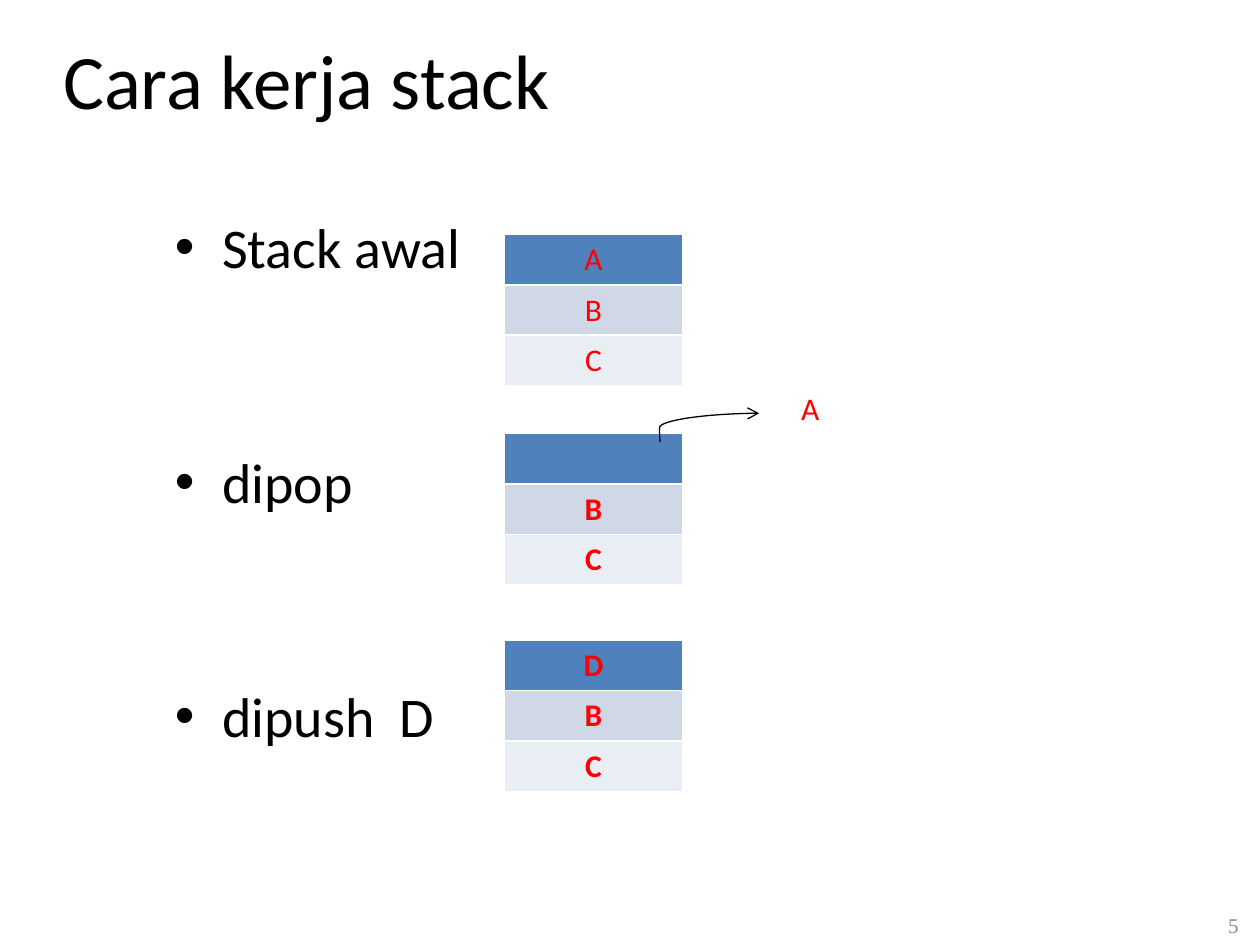
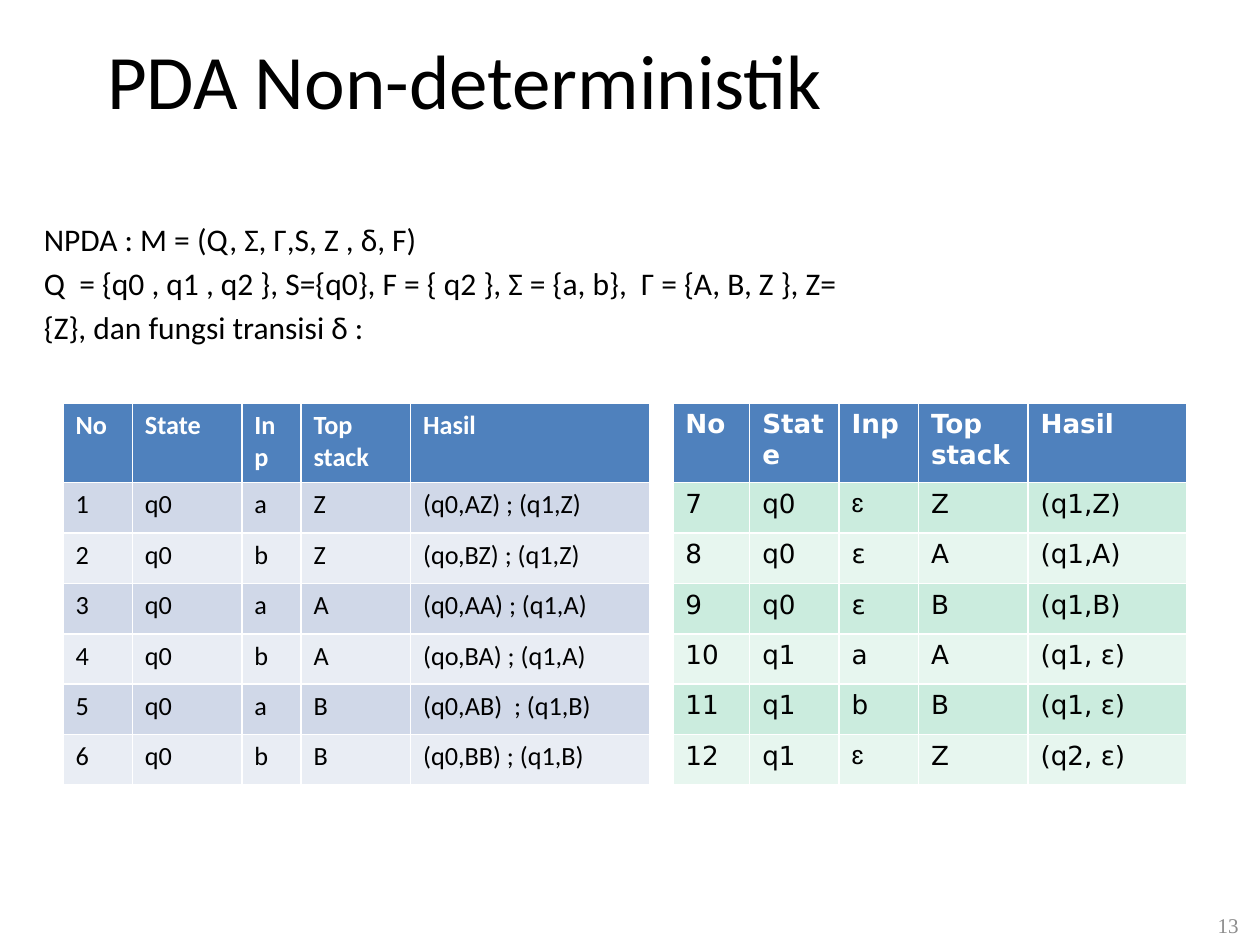
from lxml import etree
from pptx import Presentation
from pptx.dml.color import RGBColor
from pptx.enum.shapes import MSO_CONNECTOR
from pptx.enum.text import MSO_ANCHOR, MSO_AUTO_SIZE, PP_ALIGN
from pptx.oxml.ns import qn
from pptx.util import Pt

CURVE = MSO_CONNECTOR.CURVE
MIDDLE = MSO_ANCHOR.MIDDLE
NO_FIT = MSO_AUTO_SIZE.NONE
LEFT, CENTER, RIGHT = PP_ALIGN.LEFT, PP_ALIGN.CENTER, PP_ALIGN.RIGHT

COLORS = {
    "text": "000000", "white": "FFFFFF", "red": "FF0000", "number": "8C8C8C",
    "header": "4F81BD", "blue_dark": "D0D8E8", "blue_light": "E9EDF4",
    "green_dark": "CBECDE", "green_light": "E7F6EF",
}
BLUE_BANDS = ("blue_dark", "blue_light")
GREEN_BANDS = ("green_dark", "green_light")
MAIN_FONT, WIDE_FONT, SYMBOL_FONT = "Calibri", "DejaVu Sans", "Arial"
ROW_HEIGHT = 28.8
HEADER_HEIGHT = 45.4

STEPS = ["Stack awal", "dipop", "dipush  D"]
STACKS = [
    (133.9, ["A", "B", "C"], False),
    (247.7, ["", "B", "C"], True),
    (365.8, ["D", "B", "C"], True),
]

DEFINITION = [
    "NPDA : M = (Q, Σ, Γ,S, Z , δ, F)",
    "Q  = {q0 , q1 , q2 }, S={q0}, F = { q2 }, Σ = {a, b},  Γ = {A, B, Z }, Z=",
    "{Z}, dan fungsi transisi δ :",
]
HEADINGS = ("No", "State", "Inp", "Top stack", "Hasil")
READING_RULES = [
    HEADINGS,
    ("1", "q0", "a", "Z", "(q0,AZ) ; (q1,Z)"),
    ("2", "q0", "b", "Z", "(qo,BZ) ; (q1,Z)"),
    ("3", "q0", "a", "A", "(q0,AA) ; (q1,A)"),
    ("4", "q0", "b", "A", "(qo,BA) ; (q1,A)"),
    ("5", "q0", "a", "B", "(q0,AB)  ; (q1,B)"),
    ("6", "q0", "b", "B", "(q0,BB) ; (q1,B)"),
]
POPPING_RULES = [
    HEADINGS,
    ("7", "q0", "ɛ", "Z", "(q1,Z)"),
    ("8", "q0", "ɛ", "A", "(q1,A)"),
    ("9", "q0", "ɛ", "B", "(q1,B)"),
    ("10", "q1", "a", "A", "(q1, ɛ)"),
    ("11", "q1", "b", "B", "(q1, ɛ)"),
    ("12", "q1", "ɛ", "Z", "(q2, ɛ)"),
]
READING_WIDTHS = [39.6, 62.6, 33.8, 62.6, 136.8]
POPPING_WIDTHS = [43.9, 51.1, 45.4, 62.6, 90.7]


def color(name):
    return RGBColor.from_string(COLORS[name])


def style(para, size, color_name="text", font=MAIN_FONT, bold=False, align=LEFT):
    para.alignment = align
    para.font.size = Pt(size)
    para.font.name = font
    para.font.bold = bold
    para.font.color.rgb = color(color_name)


def add_text(page, area, lines, size, **look):
    box = page.shapes.add_textbox(*map(Pt, area))
    frame = box.text_frame
    frame.word_wrap = True
    frame.text = "\n".join(lines)
    for para in frame.paragraphs:
        style(para, size, **look)
    return frame


def add_page(deck, title, left, inset, number):
    page = deck.slides.add_slide(deck.slide_layouts[5])
    heading = page.shapes.title
    heading.left, heading.top, heading.width, heading.height = map(Pt, (left, 0, 612, 90))
    frame = heading.text_frame
    frame.text = title
    frame.auto_size = NO_FIT
    frame.vertical_anchor = MIDDLE
    frame.margin_left = Pt(inset)
    style(frame.paragraphs[0], 44)
    footer = add_text(page, (551.5, 517.7, 163.4, 22.3), [str(number)], 12,
                      color_name="number", font="Times New Roman", align=RIGHT)
    footer.vertical_anchor = MIDDLE
    return page


def hang(para, bullet=None):
    props = para._p.get_or_add_pPr()
    props.set("marL", str(Pt(27)))
    props.set("indent", str(-Pt(27)))
    if bullet:
        default = props.find(qn("a:defRPr"))
        for tag, key, value in (("a:buFont", "typeface", "Arial"), ("a:buChar", "char", bullet)):
            mark = etree.Element(qn(tag))
            mark.set(key, value)
            default.addprevious(mark)


def add_grid(page, left, top, widths, heights, rows, bands, look):
    frame = page.shapes.add_table(len(rows), len(widths), Pt(left), Pt(top),
                                  Pt(sum(widths)), Pt(sum(heights)))
    table = frame.table
    for column, width in zip(table.columns, widths):
        column.width = Pt(width)
    for index, (row, height, values) in enumerate(zip(table.rows, heights, rows)):
        row.height = Pt(height)
        fill = bands[(index - 1) % 2] if index else "header"
        for cell, value in zip(row.cells, values):
            cell.fill.solid()
            cell.fill.fore_color.rgb = color(fill)
            cell.text = value
            style(cell.text_frame.paragraphs[0], **look(index, values, value))


def add_pop_arrow(page):
    arrow = page.shapes.add_connector(CURVE, Pt(377.3), Pt(252.7), Pt(433.8), Pt(236.2))
    arrow.line.color.rgb = color("text")
    arrow.line.width = Pt(0.75)
    props = arrow._element.spPr
    guides = props.find(qn("a:prstGeom")).get_or_add_avLst()
    etree.SubElement(guides, qn("a:gd"), name="adj1", fmla="val -800")
    etree.SubElement(arrow.line._get_or_add_ln(), qn("a:tailEnd"), type="arrow")
    etree.SubElement(props, qn("a:effectLst"))


def build_stack_page(deck):
    page = add_page(deck, "Cara kerja stack", 36, 0, 5)
    steps = add_text(page, (92.9, 118, 612, 365), STEPS, 32)
    for index, para in enumerate(steps.paragraphs):
        para.space_before = Pt(95.5 if index else 0)
        hang(para, "•")
    for top, items, bold in STACKS:
        def look(index, values, value):
            return dict(size=18, color_name="red", bold=bold, align=CENTER)
        add_grid(page, 288, top, [102.2], [ROW_HEIGHT] * len(items),
                 [[item] for item in items], BLUE_BANDS, look)
    add_pop_arrow(page)
    add_text(page, (450.7, 218.9, 31.7, 36.7), ["A"], 18, color_name="red")


def build_transition_page(deck):
    page = add_page(deck, "PDA Non-deterministik", 54, 7.2, 13)
    definition = add_text(page, (18, 95.8, 702, 444), DEFINITION, 18)
    definition.margin_top = Pt(30)
    for index, para in enumerate(definition.paragraphs):
        para.space_before = Pt(3.6 if index else 0)
        hang(para)
    for left, widths, rows, bands, font in (
        (36, READING_WIDTHS, READING_RULES, BLUE_BANDS, MAIN_FONT),
        (384.5, POPPING_WIDTHS, POPPING_RULES, GREEN_BANDS, WIDE_FONT),
    ):
        def look(index, values, value):
            symbol = value == "ɛ" and values[3] == "Z"
            return dict(size=15, color_name="text" if index else "white",
                        font=SYMBOL_FONT if symbol else font, bold=index == 0)
        heights = [HEADER_HEIGHT] + [ROW_HEIGHT] * (len(rows) - 1)
        add_grid(page, left, 230.4, widths, heights, rows, bands, look)


def main():
    deck = Presentation()
    deck.slide_width, deck.slide_height = Pt(720), Pt(540)
    build_stack_page(deck)
    build_transition_page(deck)
    deck.save("out.pptx")


if __name__ == "__main__":
    main()
